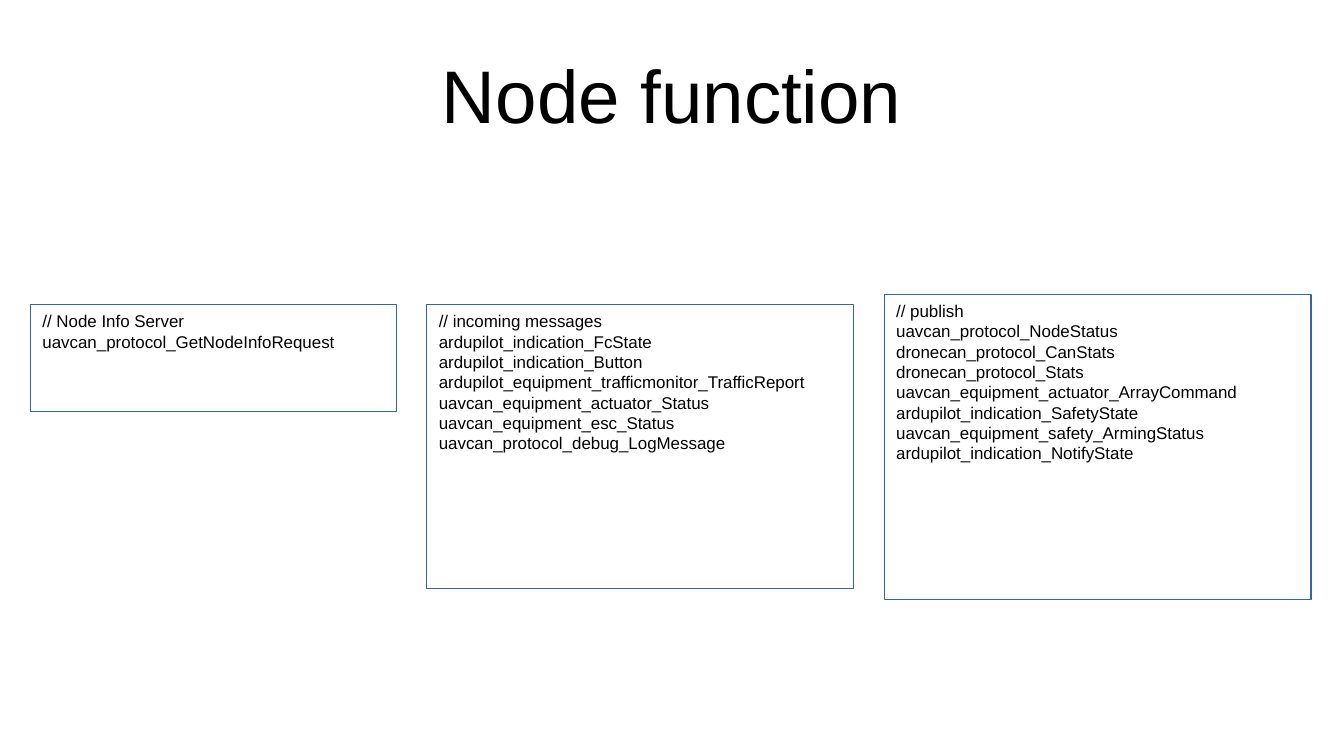
from pptx import Presentation, util as u
from pptx.dml.color import RGBColor
from pptx.enum import shapes, text

BLACK = RGBColor(0x00, 0x00, 0x00)
BLUE = RGBColor(0x34, 0x65, 0xA4)
FONT = "Arial"
WIDTH, HEIGHT = 11.02, 6.2
CELL = 0.25

MESSAGE_BOXES = [
    ((1, 10, 12, 3.5), [
        "// Node Info Server",
        "uavcan_protocol_GetNodeInfoRequest",
    ]),
    ((14, 10, 14, 9.32), [
        "// incoming messages",
        "ardupilot_indication_FcState",
        "ardupilot_indication_Button",
        "ardupilot_equipment_trafficmonitor_TrafficReport",
        "uavcan_equipment_actuator_Status",
        "uavcan_equipment_esc_Status",
        "uavcan_protocol_debug_LogMessage",
    ]),
    ((29, 9.66, 14, 10), [
        "// publish",
        "uavcan_protocol_NodeStatus",
        "dronecan_protocol_CanStats",
        "dronecan_protocol_Stats",
        "uavcan_equipment_actuator_ArrayCommand",
        "ardupilot_indication_SafetyState",
        "uavcan_equipment_safety_ArmingStatus",
        "ardupilot_indication_NotifyState",
    ]),
]


def write_text(shape, lines, size, align=text.PP_ALIGN.LEFT,
               anchor=text.MSO_ANCHOR.TOP, margins=(0.1, 0.05)):
    frame = shape.text_frame
    frame.word_wrap = True
    frame.vertical_anchor = anchor
    frame.margin_left = frame.margin_right = u.Inches(margins[0])
    frame.margin_top = frame.margin_bottom = u.Inches(margins[1])
    frame.text = "\n".join(lines)
    for paragraph in frame.paragraphs:
        paragraph.alignment = align
        for run in paragraph.runs:
            run.font.name = FONT
            run.font.size = u.Pt(size)
            run.font.color.rgb = BLACK


def add_title(slide, title):
    left, top, width, height = 0.05 * WIDTH, 0.04 * HEIGHT, 0.9 * WIDTH, HEIGHT / 6
    shape = slide.shapes.add_textbox(
        *(u.Inches(length) for length in (left, top, width, height)))
    write_text(shape, [title], size=44, align=text.PP_ALIGN.CENTER,
               anchor=text.MSO_ANCHOR.MIDDLE, margins=(0, 0))


def add_message_box(slide, cells, lines):
    shape = slide.shapes.add_shape(
        shapes.MSO_SHAPE.RECTANGLE, *(u.Inches(cell * CELL) for cell in cells))
    shape.shadow.inherit = False
    shape.fill.background()
    shape.line.color.rgb = BLUE
    shape.line.width = u.Pt(0)
    write_text(shape, lines, size=10)


def main():
    presentation = Presentation()
    presentation.slide_width = u.Inches(WIDTH)
    presentation.slide_height = u.Inches(HEIGHT)
    slide = presentation.slides.add_slide(presentation.slide_layouts[6])
    add_title(slide, "Node function")
    for cells, lines in MESSAGE_BOXES:
        add_message_box(slide, cells, lines)
    presentation.save("out.pptx")


if __name__ == "__main__":
    main()
